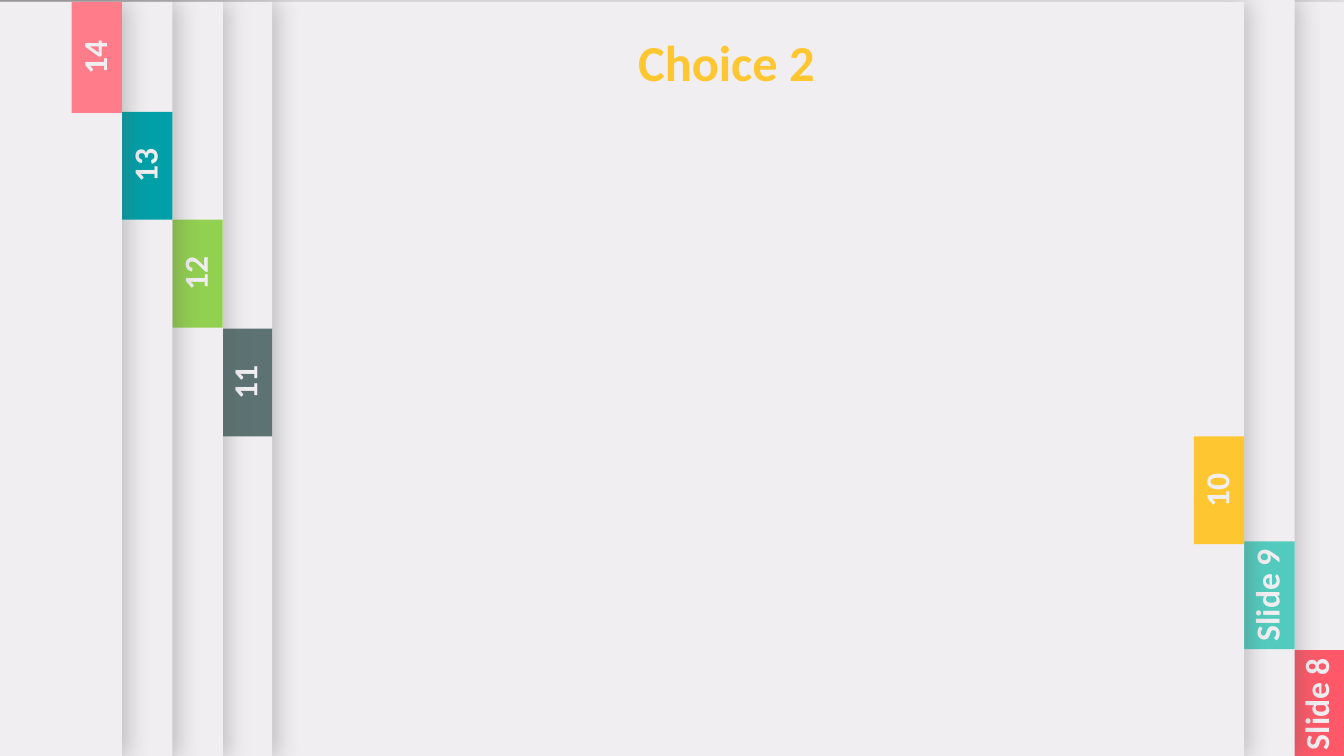
from dataclasses import dataclass

from lxml import etree
from pptx import Presentation
from pptx import util as u
from pptx.dml.color import RGBColor
from pptx.enum import shapes, text
from pptx.oxml import ns


@dataclass(frozen=True)
class Theme:
    """Colours, font and type sizes of the deck."""
    paper: str = "F0EEF0"
    shadow: str = "595959"
    accent: str = "FEC630"
    font: str = "Calibri"
    title_size: int = 36
    tab_size: int = 24


THEME = Theme()
SLIDE_W, SLIDE_H = 13.33, 7.5
PAGE_W, TAB_W, LABEL_W, LABEL_H = 13.65, 0.5, 1.19, 0.5
PAGE_TOP, TAB_H = 0.02, 1.07

# label, colour, right edge, page top, tab top, tab height
PAGES = [
    ("Slide 8", "FF5969", 13.33, PAGE_TOP, 6.45, TAB_H),
    ("Slide 9", "52CBBE", 12.84, 0, 5.37, TAB_H),
    ("10", THEME.accent, 12.34, PAGE_TOP, 4.33, TAB_H),
    ("11", "5D7373", 2.7, PAGE_TOP, 3.26, TAB_H),
    ("12", "92D050", 2.21, PAGE_TOP, 2.18, TAB_H),
    ("13", "00A0A8", 1.71, PAGE_TOP, 1.11, TAB_H),
    ("14", "FF7D8B", 1.21, PAGE_TOP, 0.02, 1.1),
]


def add_block(parent, box, color):
    """Add a plain filled rectangle without a line."""
    sp = parent.add_shape(shapes.MSO_SHAPE.RECTANGLE, *map(u.Inches, box))
    sp.shadow.inherit = False
    sp.fill.solid()
    sp.fill.fore_color.rgb = RGBColor.from_string(color)
    sp.line.fill.background()
    return sp


def cast_shadow(sp):
    """Give a page a soft shadow falling to its right."""
    effects = sp.element.spPr.find(ns.qn("a:effectLst"))
    outer = etree.SubElement(effects, ns.qn("a:outerShdw"), blurRad=str(u.Pt(17)),
                             dist=str(u.Pt(3)), dir="0", algn="l", rotWithShape="0")
    color = etree.SubElement(outer, ns.qn("a:srgbClr"), val=THEME.shadow)
    etree.SubElement(color, ns.qn("a:alpha"), val="35000")


def write(sp, words, size, color):
    """Set one centred bold line of text."""
    tf = sp.text_frame
    tf.word_wrap = True
    tf.auto_size = text.MSO_AUTO_SIZE.SHAPE_TO_FIT_TEXT
    tf.vertical_anchor = text.MSO_ANCHOR.TOP
    p = tf.paragraphs[0]
    p.text = words
    p.alignment = text.PP_ALIGN.CENTER
    p.font.name, p.font.size, p.font.bold = THEME.font, u.Pt(size), True
    p.font.color.rgb = RGBColor.from_string(color)


def add_page(s, label, color, right, top, tab_top, tab_h):
    """Add a shadowed page with a labelled tab at its right edge."""
    group = s.shapes.add_group_shape().shapes
    cast_shadow(add_block(group, (right - PAGE_W, top, PAGE_W, SLIDE_H), THEME.paper))
    add_block(group, (right - TAB_W, tab_top, TAB_W, tab_h), color)
    center_x, center_y = right - TAB_W / 2 - 0.03, tab_top + tab_h / 2
    box = (center_x - LABEL_W / 2, center_y - LABEL_H / 2, LABEL_W, LABEL_H)
    sp = group.add_textbox(*map(u.Inches, box))
    sp.rotation = 270
    write(sp, label, THEME.tab_size, THEME.paper)


def place_title(s, words, box):
    """Format the title placeholder and bring it to the front."""
    title = s.shapes.title
    title.left, title.top, title.width, title.height = map(u.Inches, box)
    write(title, words, THEME.title_size, THEME.accent)
    title.element.getparent().append(title.element)


def main():
    """Build and save the slide."""
    prs = Presentation()
    prs.slide_width, prs.slide_height = u.Inches(SLIDE_W), u.Inches(SLIDE_H)
    s = prs.slides.add_slide(prs.slide_layouts[5])
    s.background.fill.solid()
    s.background.fill.fore_color.rgb = RGBColor.from_string(THEME.paper)
    for page in PAGES:
        add_page(s, *page)
    place_title(s, "Choice 2", (4.56, 0.26, 5.29, 0.71))
    prs.save("out.pptx")


if __name__ == "__main__":
    main()
